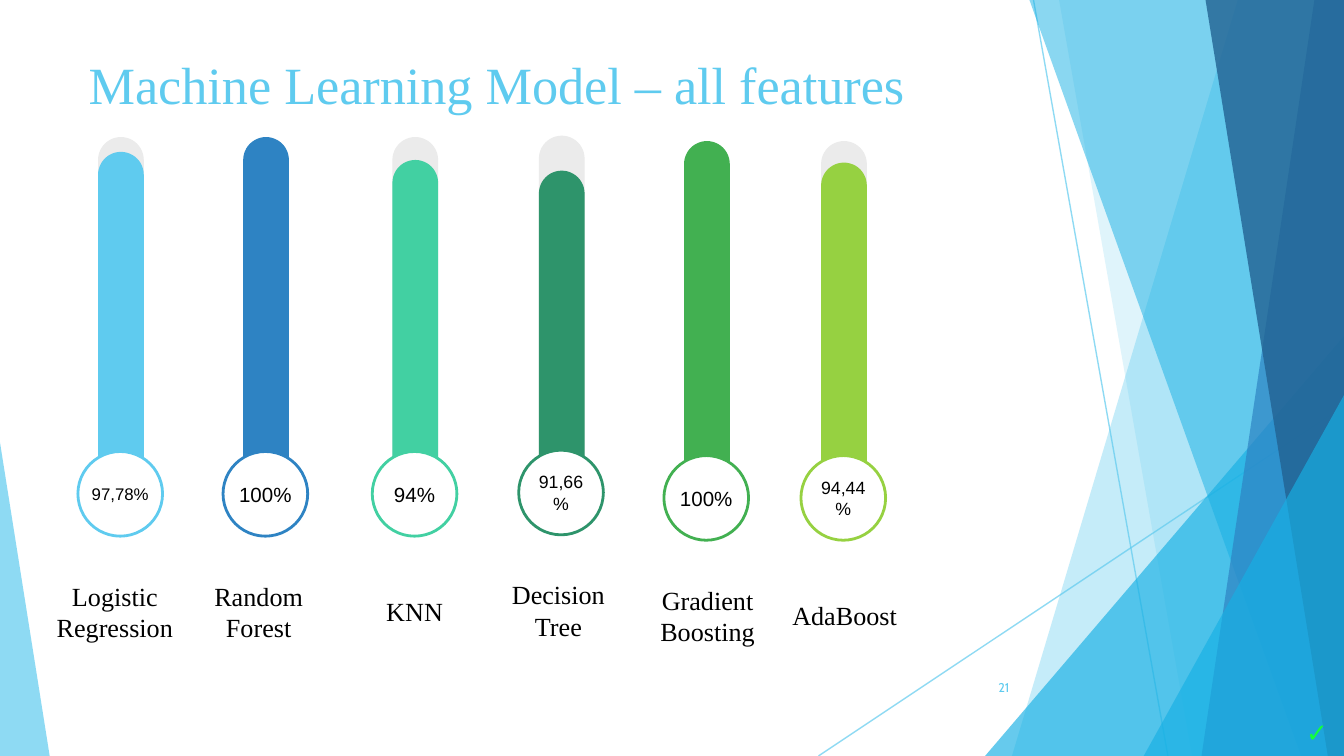
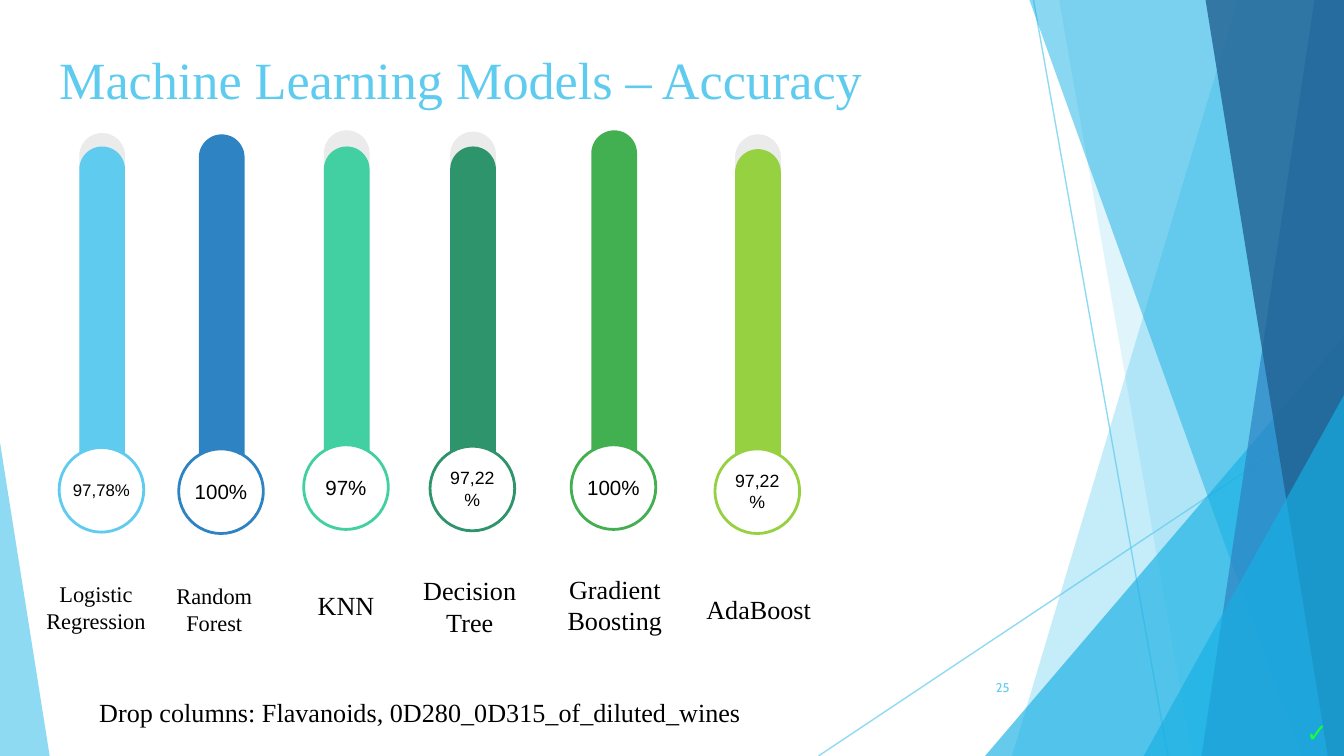
from typing import NamedTuple

import pptx
import pptx.dml.color
import pptx.dml.fill
import pptx.enum.shapes
import pptx.enum.text
import pptx.oxml
import pptx.oxml.ns
import pptx.presentation
import pptx.shapes.base
import pptx.slide
import pptx.text.text
import pptx.util

SHAPE = pptx.enum.shapes.MSO_SHAPE
ALIGN = pptx.enum.text.PP_ALIGN
ANCHOR = pptx.enum.text.MSO_ANCHOR

# Grid: cells of a tenth of an inch
COLUMNS, ROWS = 100, 56.25

# Shared look
SKY, CYAN, BLUE, NAVY = "5FCBEF", "17B0E4", "2E83C3", "226292"
BLACK, WHITE, TRACK, TICK = "000000", "FFFFFF", "EBEBEB", "13FF3A"
SERIF, SANS, SMALL = "Times New Roman", "Arial", "Cabin"

# Thermometer parts, relative to the top left of the track
BAR_WIDTH, BAR_HEIGHT = 3.4, 27.6
BULB_SIZE, BULB_LEFT, BULB_TOP = 6.3, -1.5, 23.4
LABEL_TOP, LABEL_HEIGHT = 31.8, 7


class Box(NamedTuple):
    left: float
    top: float
    width: float
    height: float


class Ray(NamedTuple):
    start: tuple[float, float]
    end: tuple[float, float]


class Band(NamedTuple):
    """Area from a slanted left edge to the right side of the slide."""
    top_left: float
    bottom_left: float
    colour: str
    opacity: int


class Wedge(NamedTuple):
    box: Box
    apex: float
    colour: str
    opacity: int


class Model(NamedTuple):
    name: str
    colour: str
    label_left: float
    label_width: float


class Reading(NamedTuple):
    model: Model
    left: float
    top: float
    score: str
    drop: float = 0
    height: float = BAR_HEIGHT
    score_size: float = 11
    label_size: float = 14


class Chapter(NamedTuple):
    title: str
    title_box: Box
    number: str
    readings: list[Reading]
    remark: str = ""


DECORATION = [
    Ray((76.9, 0), (86.9, ROWS)),
    Ray((COLUMNS, 30.2), (60.9, ROWS)),
    Band(92.1, 75.3, SKY, 36),
    Band(78.8, 88.7, SKY, 20),
    Wedge(Box(73.3, 25, 26.7, 31.25), 1, CYAN, 66),
    Band(76.6, 96.8, CYAN, 50),
    Band(97.8, 89.4, BLUE, 70),
    Band(89.7, 98.8, NAVY, 80),
    Wedge(Box(85.1, 29.4, 14.9, 26.85), 1, CYAN, 66),
    Wedge(Box(0, 32.9, 3.7, 23.35), 0, SKY, 70),
]

LOGISTIC = Model("Logistic Regression", SKY, -4.1, 10.7)
FOREST = Model("Random Forest", BLUE, -4.2, 10.7)
KNN = Model("KNN", "42D0A2", -3.7, 10.7)
TREE = Model("Decision Tree", "2E946B", -3.8, 10.5)
GRADIENT = Model("Gradient Boosting", "42B051", -3.3, 10.1)
ADABOOST = Model("AdaBoost", "96D141", -3.3, 10.1)

CHAPTERS = [
    Chapter(
        "Machine Learning Model – all features", Box(5.6, 3.1, 65.2, 6.3), "21",
        [
            Reading(GRADIENT, 50.9, 10.5, "100%"),
            Reading(KNN, 29.2, 10.2, "94%", 1.7, 25.9),
            Reading(TREE, 40.1, 10.1, "91,66%", 2.6, 25, 9.5),
            Reading(LOGISTIC, 7.3, 10.2, "97,78%", 1.1, 25.5, 9),
            Reading(FOREST, 18.1, 10.2, "100%"),
            Reading(ADABOOST, 61.1, 10.5, "94,44%", 1.6, 24.9, 9.5),
        ],
    ),
    Chapter(
        "Machine Learning Models – Accuracy", Box(3.4, 3.4, 67.1, 4.9), "25",
        [
            Reading(GRADIENT, 44, 9.7, "100%"),
            Reading(KNN, 24.1, 9.7, "97%", 1.2, 26.4),
            Reading(TREE, 33.5, 9.8, "97,22%", 1.1, 25.4, 9.5),
            Reading(LOGISTIC, 5.9, 9.9, "97,78%", 1, 25.5, 9, 12),
            Reading(FOREST, 14.8, 10, "100%", label_size=12),
            Reading(ADABOOST, 54.7, 10, "97,22%", 1.1, 26.6, 9.5),
        ],
        "Drop columns: Flavanoids, 0D280_0D315_of_diluted_wines",
    ),
]


def cells(count: float) -> pptx.util.Emu:
    return pptx.util.Inches(count / 10)


def colour(code: str) -> pptx.dml.color.RGBColor:
    return pptx.dml.color.RGBColor.from_string(code)


def paint(fill: pptx.dml.fill.FillFormat, code: str) -> None:
    fill.solid()
    fill.fore_color.rgb = colour(code)


def fade(shape: pptx.shapes.base.BaseShape, opacity: int) -> None:
    for tint in shape.element.xpath("./p:spPr//a:srgbClr"):
        alpha = pptx.oxml.parse_xml(
            f'<a:alpha {pptx.oxml.ns.nsdecls("a")} val="{opacity * 1000}"/>')
        tint.append(alpha)


def write(frame: pptx.text.text.TextFrame, text: str, font: str, size: float,
          code: str, align: ALIGN = ALIGN.LEFT, anchor: ANCHOR = ANCHOR.TOP,
          side: float = 1, edge: float = 1, bold: bool = False) -> None:
    frame.text = text
    frame.word_wrap = True
    frame.auto_size = pptx.enum.text.MSO_AUTO_SIZE.NONE
    frame.vertical_anchor = anchor
    frame.margin_left = frame.margin_right = cells(side)
    frame.margin_top = frame.margin_bottom = cells(edge)
    para = frame.paragraphs[0]
    para.alignment = align
    para.font.name, para.font.size = font, pptx.util.Pt(size)
    para.font.bold = bold
    para.font.color.rgb = colour(code)


def add_text(shapes, box: Box, text: str, font: str, size: float, code: str, **layout) -> None:
    frame = shapes.add_textbox(*map(cells, box)).text_frame
    write(frame, text, font, size, code, **layout)


def add_preset(shapes, kind: SHAPE, box: Box, fill: str, adjust: float | None = None,
               outline: str | None = None) -> pptx.shapes.base.BaseShape:
    shape = shapes.add_shape(kind, *map(cells, box))
    shape.shadow.inherit = False
    paint(shape.fill, fill)
    if adjust is not None:
        shape.adjustments[0] = adjust
    if outline:
        paint(shape.line.fill, outline)
        shape.line.width = pptx.util.Pt(1.5)
    else:
        shape.line.fill.background()
    return shape


def draw_ray(page: pptx.slide.Slide, ray: Ray) -> pptx.shapes.base.BaseShape:
    line = page.shapes.add_connector(
        pptx.enum.shapes.MSO_CONNECTOR.STRAIGHT, *map(cells, ray.start + ray.end))
    paint(line.line.fill, SKY)
    line.line.width = pptx.util.Pt(0.75)
    effects = pptx.oxml.parse_xml(f'<a:effectLst {pptx.oxml.ns.nsdecls("a")}/>')
    line.element.spPr.append(effects)
    fade(line, 70)
    return line


def draw_band(page: pptx.slide.Slide, band: Band) -> pptx.shapes.base.BaseShape:
    outline = page.shapes.build_freeform(cells(band.top_left), 0)
    corners = [(COLUMNS, 0), (COLUMNS, ROWS), (band.bottom_left, ROWS)]
    outline.add_line_segments([(cells(x), cells(y)) for x, y in corners])
    shape = outline.convert_to_shape()
    shape.shadow.inherit = False
    paint(shape.fill, band.colour)
    shape.line.fill.background()
    fade(shape, band.opacity)
    return shape


def draw_wedge(page: pptx.slide.Slide, wedge: Wedge) -> pptx.shapes.base.BaseShape:
    shape = add_preset(page.shapes, SHAPE.ISOSCELES_TRIANGLE, wedge.box, wedge.colour, wedge.apex)
    fade(shape, wedge.opacity)
    return shape


def decorate_master(deck: pptx.presentation.Presentation, page: pptx.slide.Slide) -> None:
    """Draw the facets on a page, then move them behind everything on the master."""
    painters = {Ray: draw_ray, Band: draw_band, Wedge: draw_wedge}
    tree = deck.slide_master.shapes.element
    for order, item in enumerate(DECORATION):
        element = painters[type(item)](page, item).element
        element.xpath(".//p:cNvPr")[0].set("id", str(100 + order))
        tree.insert(2 + order, element)


def draw_thermometer(page: pptx.slide.Slide, reading: Reading) -> None:
    model, left, top = reading.model, reading.left, reading.top
    shapes = page.shapes.add_group_shape().shapes
    # Track and level
    if reading.drop:
        add_preset(shapes, SHAPE.ROUNDED_RECTANGLE,
                   Box(left, top, BAR_WIDTH, BAR_HEIGHT), TRACK, 0.5)
    add_preset(shapes, SHAPE.ROUNDED_RECTANGLE,
               Box(left, top + reading.drop, BAR_WIDTH, reading.height), model.colour, 0.5)
    # Bulb with the score
    bulb = add_preset(shapes, SHAPE.OVAL,
                      Box(left + BULB_LEFT, top + BULB_TOP, BULB_SIZE, BULB_SIZE),
                      WHITE, outline=model.colour)
    write(bulb.text_frame, reading.score, SANS, reading.score_size, BLACK,
          ALIGN.CENTER, ANCHOR.MIDDLE, side=0)
    # Model name
    add_text(shapes, Box(left + model.label_left, top + LABEL_TOP, model.label_width, LABEL_HEIGHT),
             model.name, SERIF, reading.label_size, BLACK,
             align=ALIGN.CENTER, anchor=ANCHOR.MIDDLE, side=0.8)


def fill_page(page: pptx.slide.Slide, chapter: Chapter) -> None:
    title = page.shapes.title
    title.left, title.top, title.width, title.height = map(cells, chapter.title_box)
    write(title.text_frame, chapter.title, SERIF, 28, SKY, anchor=ANCHOR.MIDDLE, edge=0)
    add_text(page.shapes, Box(70.5, 49.6, 5.6, 3), chapter.number, SMALL, 6.8, SKY,
             align=ALIGN.RIGHT)
    for reading in chapter.readings:
        draw_thermometer(page, reading)
    add_text(page.shapes, Box(96.2, 52.8, 3.8, 3.4), "✓", SMALL, 14, TICK, edge=0.5, bold=True)
    if chapter.remark:
        add_text(page.shapes, Box(6.4, 51.3, 54.3, 3.4), chapter.remark, SERIF, 14, BLACK, edge=0.5)


def main() -> None:
    deck = pptx.Presentation()
    deck.slide_width, deck.slide_height = cells(COLUMNS), cells(ROWS)
    title_only = deck.slide_layouts.get_by_name("Title Only")
    pages = [deck.slides.add_slide(title_only) for _ in CHAPTERS]
    decorate_master(deck, pages[0])
    for page, chapter in zip(pages, CHAPTERS):
        fill_page(page, chapter)
    deck.save("out.pptx")


if __name__ == "__main__":
    main()
